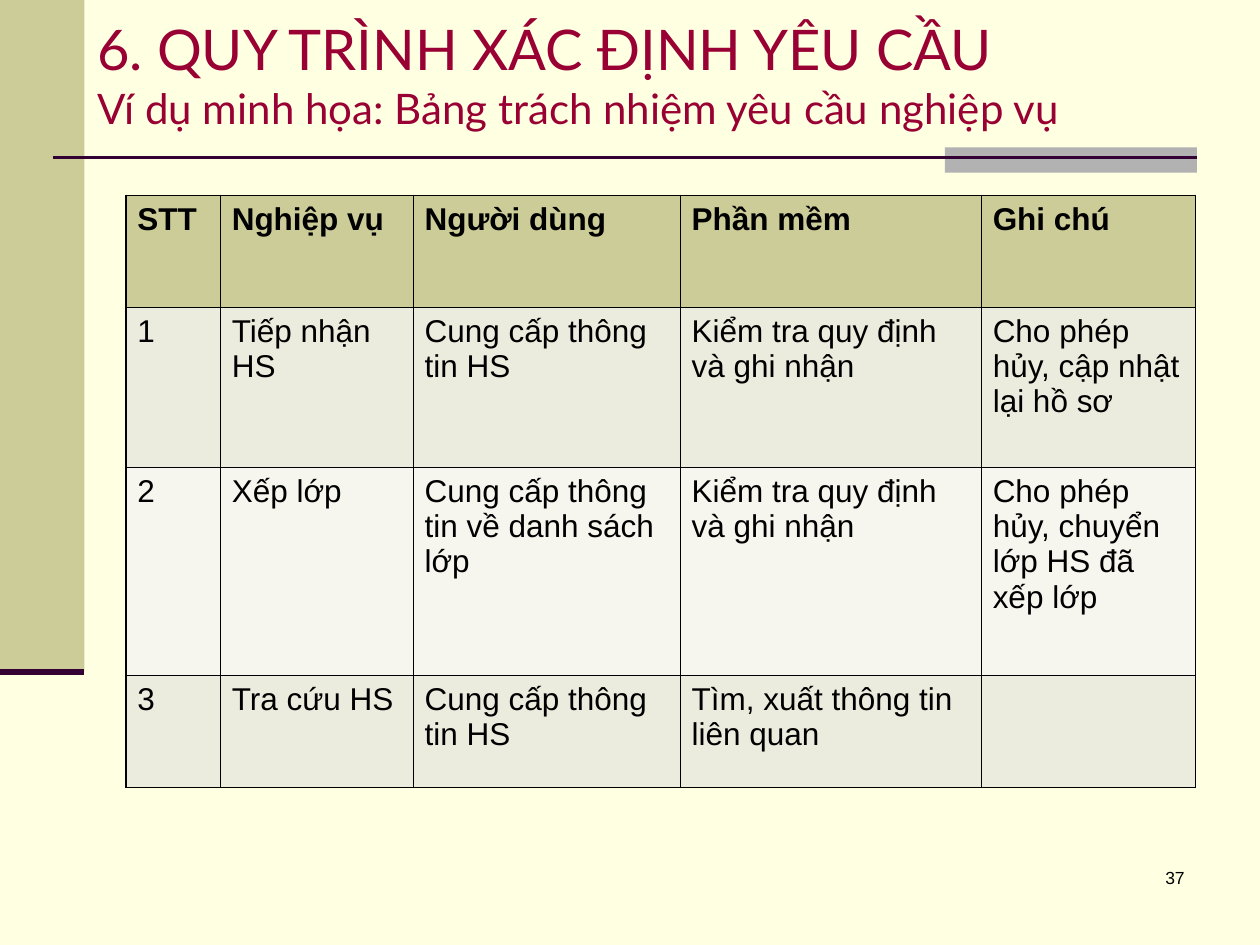
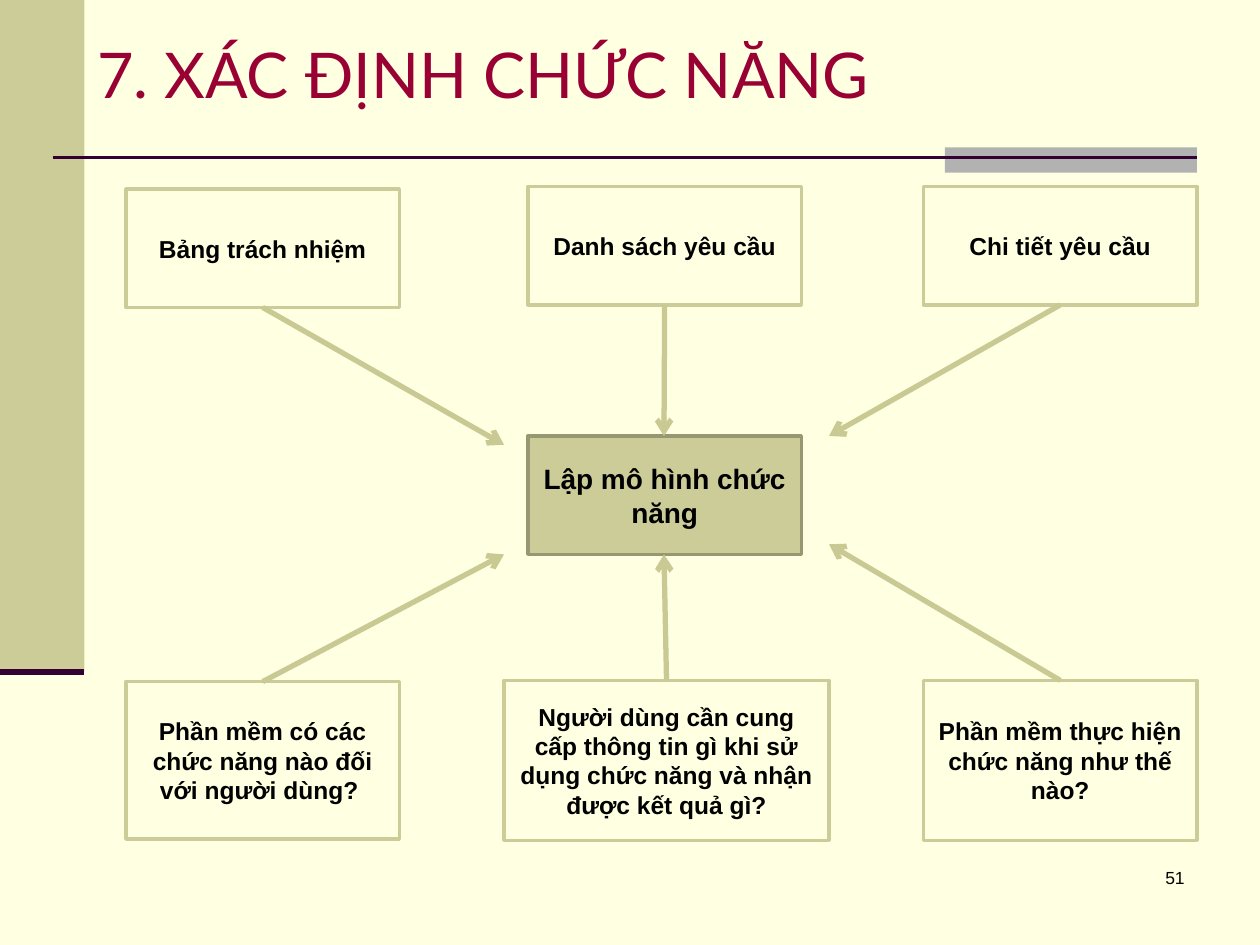
from dataclasses import dataclass

from lxml import etree
from pptx import Presentation
from pptx.dml.color import RGBColor
from pptx.enum.shapes import MSO_CONNECTOR as Line, MSO_SHAPE as Shape
from pptx.enum.text import MSO_ANCHOR as Anchor, MSO_AUTO_SIZE as Fit, PP_ALIGN as Align
from pptx.oxml import parse_xml
from pptx.oxml.ns import nsdecls, qn
from pptx.util import Inches, Pt


@dataclass(frozen=True)
class Theme:
    paper: str = "FFFFE1"
    olive: str = "CCCC99"
    edge: str = "979771"
    arrow: str = "C9C994"
    gray: str = "B2B2B2"
    plum: str = "330033"
    wine: str = "990033"
    ink: str = "000000"
    odd: str = "ECECDE"
    even: str = "F6F6EF"
    head: str = "Lato"
    body: str = "Arial"
    title: int = 36
    long: int = 32
    sub: int = 24
    cell: int = 18
    hub: int = 16
    box: int = 14
    page: int = 10


def rgb(code):
    return RGBColor.from_string(code)


class Deck:
    def __init__(self, theme):
        self.look = theme
        self.prs = Presentation()
        self.prs.slide_width, self.prs.slide_height = Inches(10), Inches(7.5)
        fill = self.prs.slide_master.background.fill
        fill.solid()
        fill.fore_color.rgb = rgb(theme.paper)

    def start(self, lines, page):
        """Open a slide with its bands, title lines of (text, size) and page number."""
        t = self.look
        self.slide = self.prs.slides.add_slide(self.prs.slide_layouts[5])
        self.shapes = self.slide.shapes
        self.rect((0, 0, 0.67, 5.33), t.olive)
        self.rect((7.5, 1.17, 2, 0.2), t.gray)
        self.line((0.42, 1.25), (9.5, 1.25), t.plum, 1.5)
        self.line((0, 5.33), (0.67, 5.33), t.plum, 3.5)
        self.title(lines)
        self.number(page)

    def font(self, font, size, color=None, name=None, bold=False):
        font.size, font.bold = Pt(size), bold
        font.name = name or self.look.body
        font.color.rgb = rgb(color or self.look.ink)

    def title(self, lines):
        head = self.shapes.title
        head.left, head.top = Inches(0.67), Inches(0)
        head.width, head.height = Inches(9.33), Inches(1.17)
        frame = head.text_frame
        frame.auto_size, frame.vertical_anchor = Fit.NONE, Anchor.MIDDLE
        para = frame.paragraphs[0]
        para.alignment = Align.LEFT
        for i, (text, size) in enumerate(lines):
            if i:
                para.add_line_break()
            run = para.add_run()
            run.text = text
            self.font(run.font, size, self.look.wine, self.look.head)

    def number(self, page):
        frame = self.shapes.add_textbox(*map(Inches, (7.42, 6.83, 2.08, 0.5))).text_frame
        frame.word_wrap = True
        para = frame.paragraphs[0]
        para.text, para.alignment = str(page), Align.RIGHT
        self.font(para.font, self.look.page)

    def rect(self, area, fill, edge=None):
        shape = self.shapes.add_shape(Shape.RECTANGLE, *map(Inches, area))
        shape.shadow.inherit = False
        shape.fill.solid()
        shape.fill.fore_color.rgb = rgb(fill)
        if edge:
            shape.line.color.rgb = rgb(edge)
            shape.line.width = Pt(2)
        else:
            shape.line.fill.background()
        return shape

    def box(self, area, text, fill, edge, size):
        shape = self.rect(area, fill, edge)
        frame = shape.text_frame
        frame.word_wrap, frame.vertical_anchor = True, Anchor.MIDDLE
        para = frame.paragraphs[0]
        para.text, para.alignment = text, Align.CENTER
        self.font(para.font, size, bold=True)
        return shape

    def line(self, start, end, color, width):
        line = self.shapes.add_connector(Line.STRAIGHT, *map(Inches, (*start, *end)))
        line.line.color.rgb = rgb(color)
        line.line.width = Pt(width)
        etree.SubElement(line._element.spPr, qn("a:effectLst"))
        return line

    def arrow(self, box, site, end):
        """Draw an arrow from a connection site of a box to a point."""
        line = self.line(end, end, self.look.arrow, 3)
        line.begin_connect(box, site)
        etree.SubElement(line.line._get_or_add_ln(), qn("a:tailEnd"), type="arrow")

    def table(self, area, cols, rows, data):
        t = self.look
        grid = self.shapes.add_table(len(rows), len(cols), *map(Inches, area)).table
        grid.first_row = grid.horz_banding = False
        for col, width in zip(grid.columns, cols):
            col.width = Inches(width)
        for r, (row, high, texts) in enumerate(zip(grid.rows, rows, data)):
            row.height = Inches(high)
            fill = t.olive if r == 0 else t.odd if r % 2 else t.even
            for cell, text in zip(row.cells, texts):
                self.cell(cell, text, fill, r == 0)

    def cell(self, cell, text, fill, bold):
        cell.margin_left = cell.margin_right = Inches(0.09)
        para = cell.text_frame.paragraphs[0]
        para.text = text
        self.font(para.font, self.look.cell, bold=bold)
        props = cell._tc.get_or_add_tcPr()
        for side in ("lnL", "lnR", "lnT", "lnB"):
            props.append(parse_xml(
                f'<a:{side} {nsdecls("a")} w="{Pt(1)}"><a:solidFill>'
                f'<a:srgbClr val="{self.look.ink}"/></a:solidFill></a:{side}>'))
        cell.fill.solid()
        cell.fill.fore_color.rgb = rgb(fill)


def duties(deck):
    t = deck.look
    deck.start([("6. QUY TRÌNH XÁC ĐỊNH YÊU CẦU", t.long),
                ("Ví dụ minh họa: Bảng trách nhiệm yêu cầu nghiệp vụ", t.sub)], 37)
    deck.table((1, 1.55, 8.5, 4.7), (0.75, 1.53, 2.12, 2.39, 1.7), (0.89, 1.27, 1.65, 0.89), [
        ("STT", "Nghiệp vụ", "Người dùng", "Phần mềm", "Ghi chú"),
        ("1", "Tiếp nhận HS", "Cung cấp thông tin HS",
         "Kiểm tra quy định và ghi nhận", "Cho phép hủy, cập nhật lại hồ sơ"),
        ("2", "Xếp lớp", "Cung cấp thông tin về danh sách lớp",
         "Kiểm tra quy định và ghi nhận", "Cho phép hủy, chuyển lớp HS đã xếp lớp"),
        ("3", "Tra cứu HS", "Cung cấp thông tin HS", "Tìm, xuất thông tin liên quan", ""),
    ])


def model(deck):
    t = deck.look
    deck.start([("7. XÁC ĐỊNH CHỨC NĂNG", t.title)], 51)
    deck.box((4.19, 3.46, 2.17, 0.94), "Lập mô hình chức năng", t.olive, t.edge, t.hub)
    top, foot = 0, 2
    for area, text, site, end in (
        ((1, 1.5, 2.17, 0.94), "Bảng trách nhiệm", foot, (4, 3.53)),
        ((4.19, 1.48, 2.17, 0.94), "Danh sách yêu cầu", foot, (5.27, 3.46)),
        ((7.33, 1.48, 2.17, 0.94), "Chi tiết yêu cầu", foot, (6.58, 3.46)),
        ((1, 5.41, 2.17, 1.25), "Phần mềm có các chức năng nào đối với người dùng? ",
         top, (4, 4.4)),
        ((4, 5.4, 2.58, 1.27), "Người dùng cần cung cấp thông tin gì khi sử dụng "
         "chức năng và nhận được kết quả gì?", top, (5.27, 4.4)),
        ((7.33, 5.4, 2.17, 1.27), "Phần mềm thực hiện chức năng như thế nào?",
         top, (6.58, 4.32)),
    ):
        box = deck.box(area, text, t.paper, t.olive, t.box)
        deck.arrow(box, site, end)


def main():
    deck = Deck(Theme())
    duties(deck)
    model(deck)
    deck.prs.save("out.pptx")


if __name__ == "__main__":
    main()
